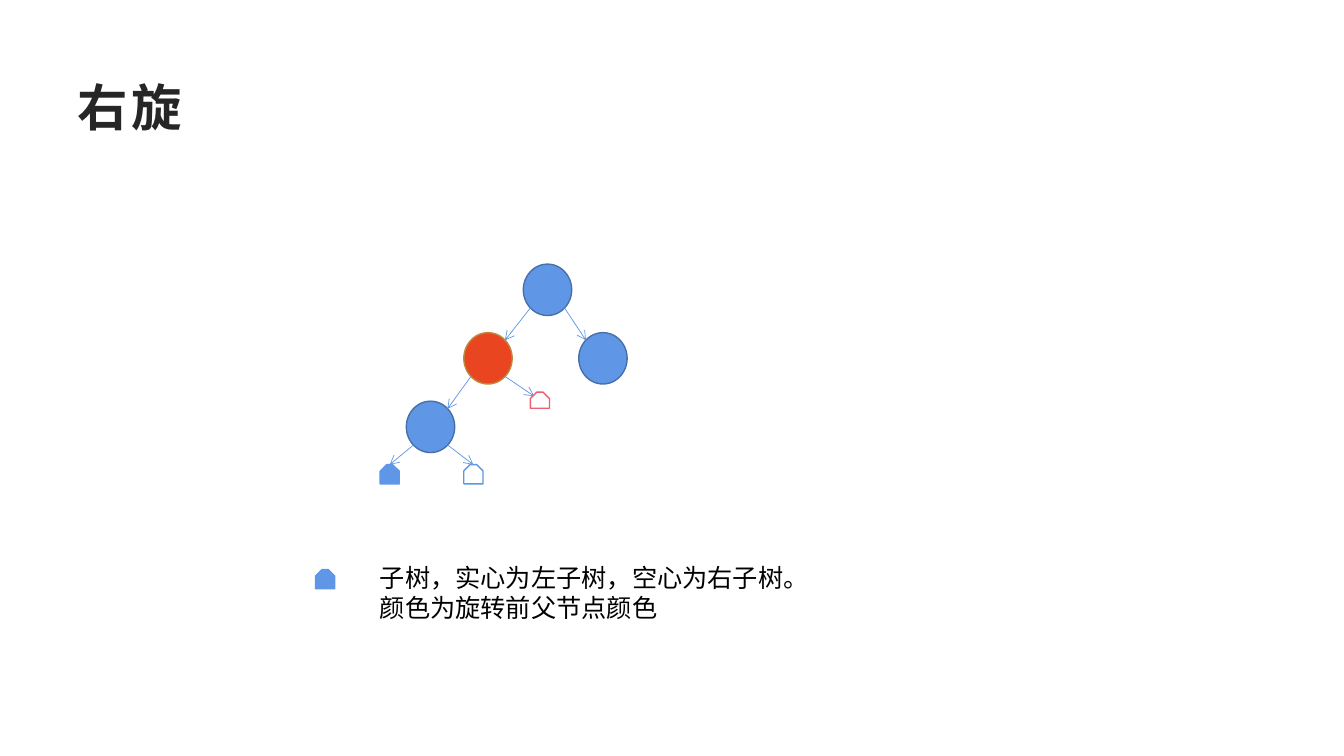
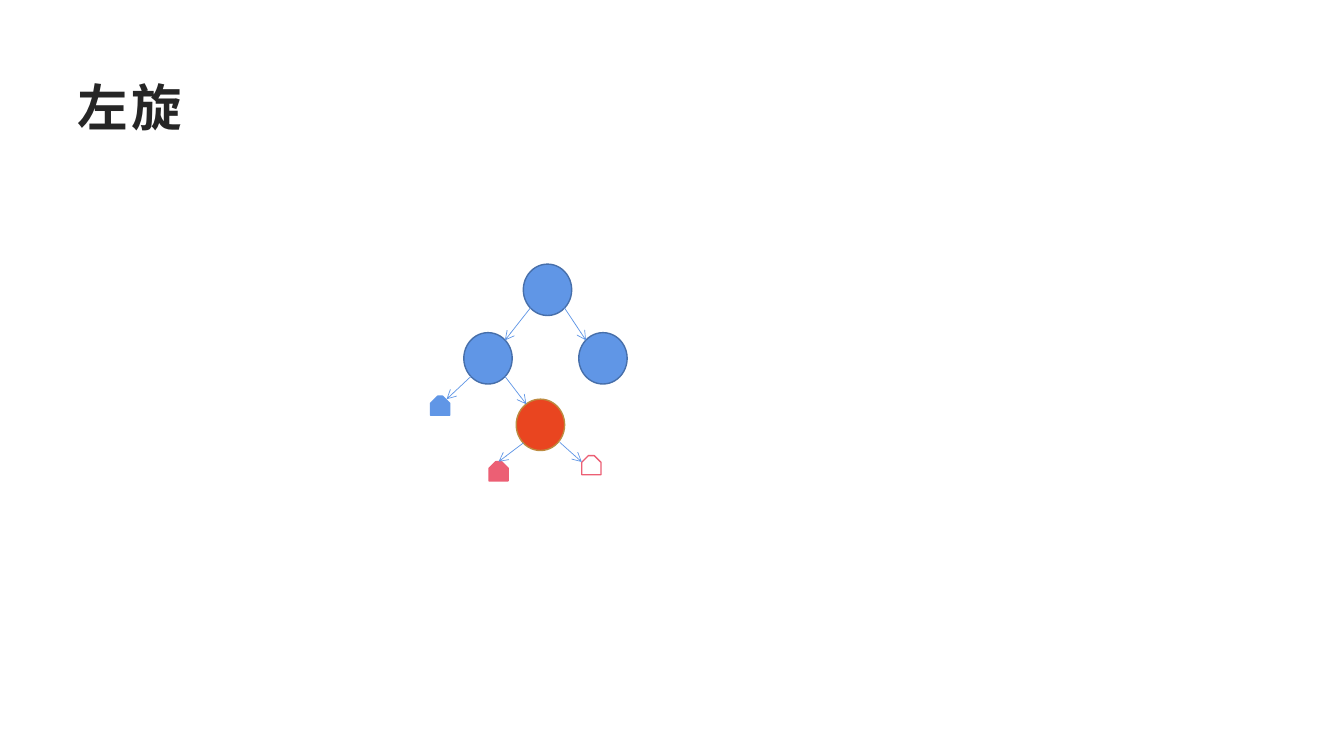
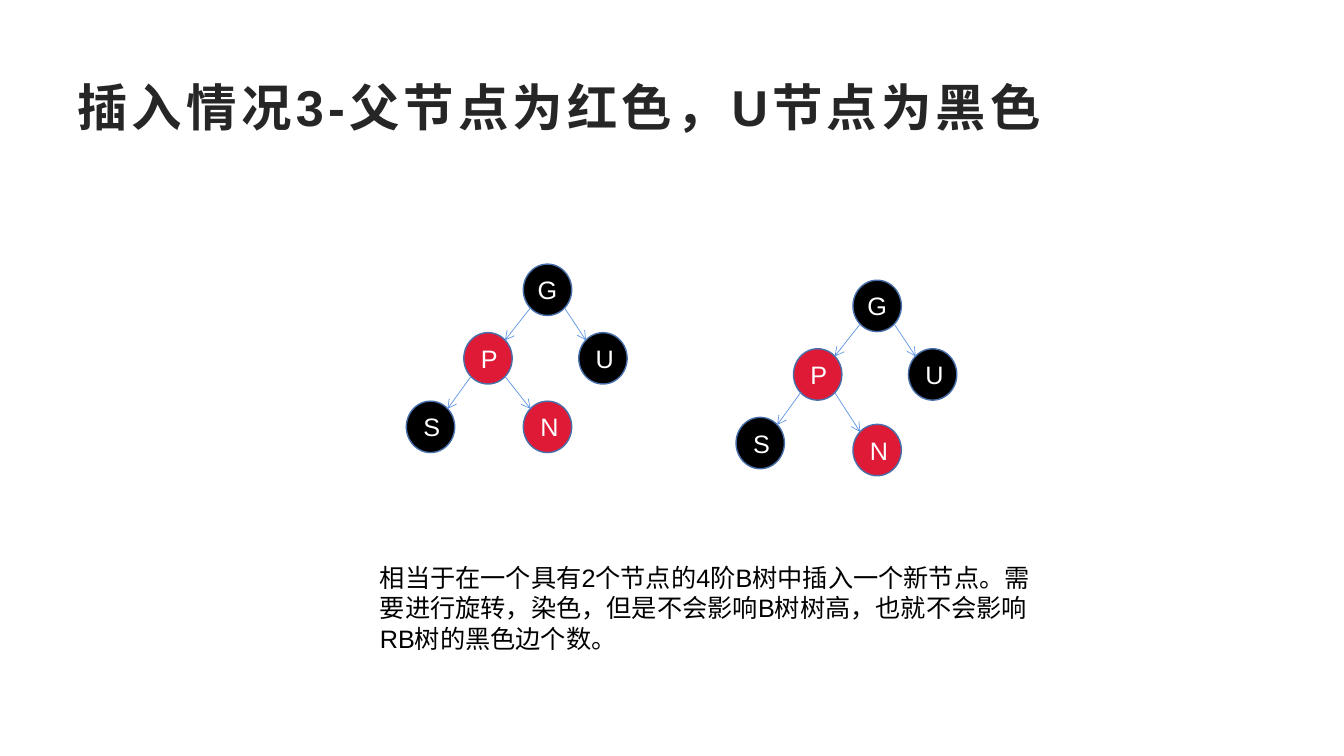
from dataclasses import dataclass

from lxml.etree import SubElement
from pptx import Presentation
from pptx.dml.color import RGBColor
from pptx.enum.lang import MSO_LANGUAGE_ID as Language
from pptx.enum.shapes import MSO_CONNECTOR as Connector, MSO_SHAPE as Preset
from pptx.enum.text import MSO_ANCHOR as Anchor, MSO_AUTO_SIZE as AutoSize, PP_ALIGN as Align
from pptx.oxml.ns import qn
from pptx.slide import Slide
from pptx.util import Inches, Pt

COLORS = {
    "paper": "FFFFFF",
    "title": "262626",
    "text": "000000",
    "black": "000000",
    "crimson": "DE1A37",
    "blue": "6096E6",
    "navy": "476FAA",
    "orange": "E94520",
    "bronze": "BD8A3F",
    "pink": "EC5F74",
}
FONT = "Arial"
NODE_WIDTH, NODE_HEIGHT = 0.48, 0.51
SUBTREE_SIZE = 0.19

Point = tuple[float, float]

# Places on a shape, as fractions of its width and height.
UPPER_LEFT, UPPER_RIGHT = (0.15, 0.15), (0.85, 0.15)
LOWER_LEFT, LOWER_RIGHT = (0.15, 0.85), (0.85, 0.85)
TOP = (0.5, 0)

# Top left corners of the nodes of a tree.
ROOT, LEFT, RIGHT = (5.19, 2.62), (4.6, 3.3), (5.74, 3.3)
LEFT_LEFT, LEFT_RIGHT = (4.03, 3.98), (5.19, 3.98)


@dataclass(frozen=True)
class Node:
    corner: Point
    fill: str = "blue"
    outline: str = "navy"
    label: str = ""
    inset: float = 0.1
    width: float = NODE_WIDTH
    height: float = NODE_HEIGHT


@dataclass(frozen=True)
class Subtree:
    corner: Point
    color: str = "blue"
    solid: bool = True
    snip: float = 0.344
    width: float = SUBTREE_SIZE
    height: float = SUBTREE_SIZE


@dataclass(frozen=True)
class Edge:
    parent: Node
    child: Node | Subtree
    leaves: Point
    arrives: Point


def rgb(color: str) -> RGBColor:
    return RGBColor.from_string(COLORS[color])


def style_text(paragraph, size: int, color: str, bold: bool = False) -> None:
    for run in paragraph.runs:
        run.font.name = FONT
        run.font.size = Pt(size)
        run.font.bold = bold
        run.font.color.rgb = rgb(color)
        run.font.language_id = Language.SIMPLIFIED_CHINESE


def add_text(slide: Slide, text: str, corner: Point, width: float, height: float,
             size: int = 18, color: str = "text", bold: bool = False):
    box = slide.shapes.add_textbox(*map(Inches, (*corner, width, height)))
    frame = box.text_frame
    frame.word_wrap = True
    frame.text = text
    style_text(frame.paragraphs[0], size, color, bold)
    return frame


def add_title_slide(deck, title: str) -> Slide:
    """Add a blank slide with the shared heading."""
    slide = deck.slides.add_slide(deck.slide_layouts[6])
    heading = add_text(slide, title, (0.67, 0.67), 12, 0.77, 36, "title", True)
    heading.vertical_anchor = Anchor.MIDDLE
    for run in heading.paragraphs[0].runs:
        run.font._element.set("spc", "300")
    return slide


def add_note(slide: Slide, text: str, width: float, height: float) -> None:
    frame = add_text(slide, text, (3.67, 5.53), width, height)
    frame.auto_size = AutoSize.SHAPE_TO_FIT_TEXT


def add_outlined(slide: Slide, preset: Preset, part: Node | Subtree, fill: str, outline: str):
    shape = slide.shapes.add_shape(preset, *map(Inches, (*part.corner, part.width, part.height)))
    shape.shadow.inherit = False
    shape.fill.solid()
    shape.fill.fore_color.rgb = rgb(fill)
    shape.line.color.rgb = rgb(outline)
    shape.line.width = Pt(1)
    return shape


def draw_node(slide: Slide, node: Node) -> None:
    circle = add_outlined(slide, Preset.OVAL, node, node.fill, node.outline)
    if node.label:
        frame = circle.text_frame
        frame.margin_left = frame.margin_right = Inches(node.inset)
        frame.margin_top = frame.margin_bottom = Inches(node.inset / 2)
        frame.vertical_anchor = Anchor.MIDDLE
        frame.text = node.label
        frame.paragraphs[0].alignment = Align.CENTER
        style_text(frame.paragraphs[0], 18, "paper")


def draw_subtree(slide: Slide, subtree: Subtree) -> None:
    fill = subtree.color if subtree.solid else "paper"
    house = add_outlined(slide, Preset.SNIP_2_SAME_RECTANGLE, subtree, fill, subtree.color)
    house.adjustments[0] = subtree.snip
    house.adjustments[1] = 0


def point_on(part: Node | Subtree, place: Point) -> Point:
    return part.corner[0] + part.width * place[0], part.corner[1] + part.height * place[1]


def draw_edge(slide: Slide, edge: Edge) -> None:
    ends = (*point_on(edge.parent, edge.leaves), *point_on(edge.child, edge.arrives))
    arrow = slide.shapes.add_connector(Connector.STRAIGHT, *map(Inches, ends))
    arrow.line.color.rgb = rgb("blue")
    arrow.line.width = Pt(0.5)
    SubElement(arrow.line._get_or_add_ln(), qn("a:tailEnd"), type="arrow")
    SubElement(arrow._element.spPr, qn("a:effectLst"))


def draw_tree(slide: Slide, edges: list[Edge]) -> None:
    """Draw each node and subtree once, then the arrows between them."""
    for part in dict.fromkeys(part for edge in edges for part in (edge.parent, edge.child)):
        if isinstance(part, Node):
            draw_node(slide, part)
        else:
            draw_subtree(slide, part)
    for edge in edges:
        draw_edge(slide, edge)


def left_edge(parent: Node, child: Node) -> Edge:
    return Edge(parent, child, LOWER_LEFT, UPPER_RIGHT)


def right_edge(parent: Node, child: Node) -> Edge:
    return Edge(parent, child, LOWER_RIGHT, UPPER_LEFT)


def add_right_rotation(deck) -> None:
    slide = add_title_slide(deck, "右旋")
    root, uncle, grandchild = Node(ROOT), Node(RIGHT), Node(LEFT_LEFT)
    pivot = Node(LEFT, "orange", "bronze")
    pivot_right = Subtree((5.26, 3.89), "pink", False, 0.407, height=0.16)
    draw_tree(slide, [
        left_edge(root, pivot),
        right_edge(root, uncle),
        left_edge(pivot, grandchild),
        Edge(pivot, pivot_right, LOWER_RIGHT, (0.2, 0.25)),
        Edge(grandchild, Subtree((3.77, 4.61)), LOWER_LEFT, TOP),
        Edge(grandchild, Subtree((4.6, 4.61), solid=False, snip=0.326), LOWER_RIGHT, TOP),
    ])
    draw_subtree(slide, Subtree((3.13, 5.65)))
    add_note(slide, "子树，实心为左子树，空心为右子树。颜色为旋转前父节点颜色", 4.61, 0.71)


def add_left_rotation(deck) -> None:
    slide = add_title_slide(deck, "左旋")
    root, parent, uncle = Node(ROOT), Node(LEFT), Node(RIGHT)
    pivot = Node((5.12, 3.96), "orange", "bronze")
    draw_tree(slide, [
        left_edge(root, parent),
        right_edge(root, uncle),
        Edge(parent, Subtree((4.27, 3.93), snip=0.378), LOWER_LEFT, (0.84, 0.16)),
        Edge(parent, pivot, LOWER_RIGHT, (0.21, 0.1)),
        Edge(pivot, Subtree((4.85, 4.58), "pink"), LOWER_LEFT, TOP),
        Edge(pivot, Subtree((5.77, 4.52), "pink", False), (0.9, 0.84), (0, 0.33)),
    ])


def insertion_tree(shift: Point, new_node_drop: float) -> list[Edge]:
    def node(label: str, corner: Point, fill: str, drop: float = 0, inset: float = 0.1) -> Node:
        place = corner[0] + shift[0], corner[1] + shift[1] + drop
        return Node(place, fill, label=label, inset=inset)

    grandparent = node("G", ROOT, "black", inset=0)
    parent = node("P", LEFT, "crimson")
    return [
        left_edge(grandparent, parent),
        right_edge(grandparent, node("U", RIGHT, "black")),
        left_edge(parent, node("S", LEFT_LEFT, "black")),
        right_edge(parent, node("N", LEFT_RIGHT, "crimson", new_node_drop)),
    ]


def add_insertion_case(deck) -> None:
    slide = add_title_slide(deck, "插入情况3-父节点为红色，U节点为黑色")
    draw_tree(slide, insertion_tree((0, 0), 0))
    draw_tree(slide, insertion_tree((3.27, 0.16), 0.07))
    add_note(slide, "相当于在一个具有2个节点的4阶B树中插入一个新节点。需要进行旋转，染色，"
                    "但是不会影响B树树高，也就不会影响RB树的黑色边个数。", 6.8, 1.01)


def main() -> None:
    deck = Presentation()
    deck.slide_width, deck.slide_height = Inches(13.33), Inches(7.5)
    add_right_rotation(deck)
    add_left_rotation(deck)
    add_insertion_case(deck)
    deck.save("out.pptx")


if __name__ == "__main__":
    main()
